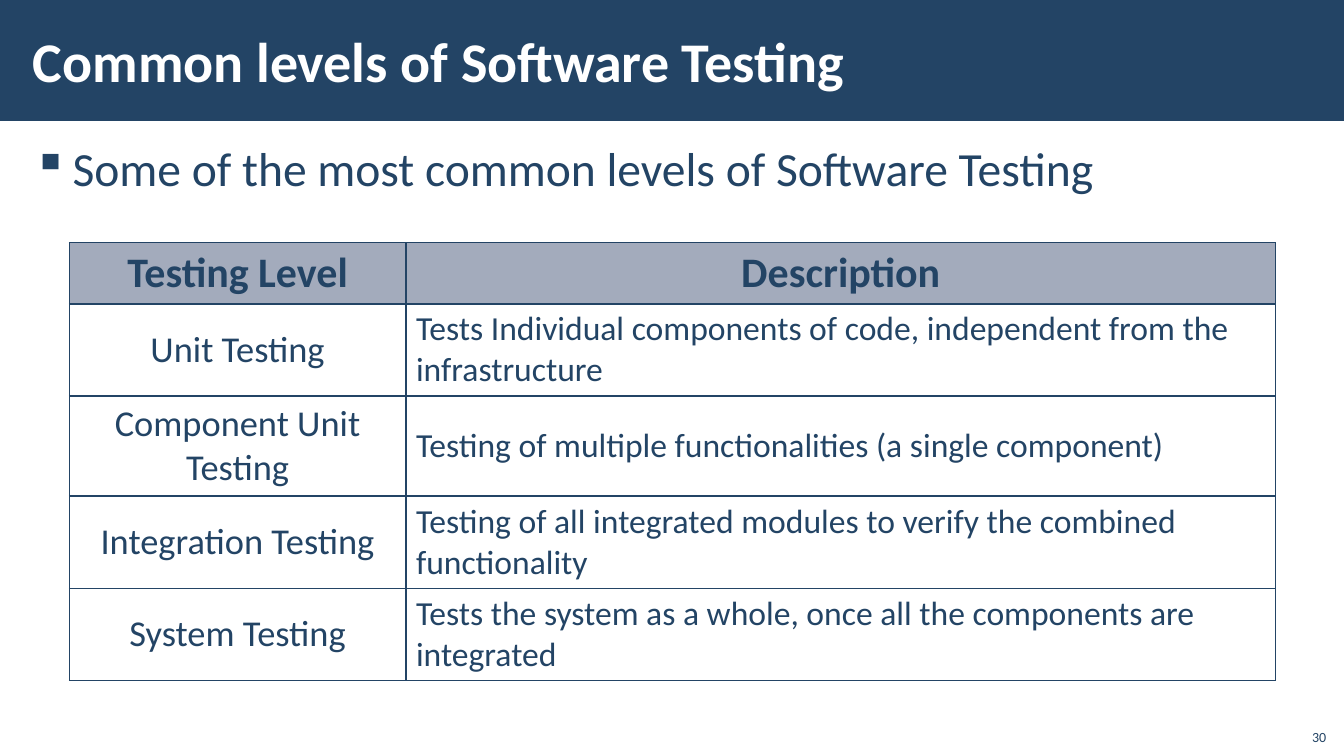
import dataclasses

import lxml.etree
import pptx
import pptx.dml.color
import pptx.enum.shapes
import pptx.enum.text
import pptx.oxml.ns
import pptx.util

Cm = pptx.util.Cm
Pt = pptx.util.Pt
ALIGN = pptx.enum.text.PP_ALIGN
ANCHOR = pptx.enum.text.MSO_ANCHOR
qn = pptx.oxml.ns.qn


@dataclasses.dataclass(frozen=True)
class Theme:
    font: str = "Calibri"
    navy: str = "234465"
    header_fill: str = "A3ABBC"
    white: str = "FFFFFF"
    title_size: int = 40
    lead_size: int = 34
    header_size: int = 30
    level_size: int = 26
    description_size: int = 24
    number_size: int = 10


THEME = Theme()

LEVELS = [
    ("Unit Testing",
     "Tests Individual components of code, independent from the infrastructure"),
    ("Component Unit\nTesting",
     "Testing of multiple functionalities (a single component)"),
    ("Integration Testing",
     "Testing of all integrated modules to verify the combined functionality"),
    ("System Testing",
     "Tests the system as a whole, once all the components are integrated"),
]
COLUMN_WIDTHS = [8.48, 21.92]
ROW_HEIGHTS = [1.54, 2.32, 2.52, 2.32, 2.32]


def rgb(value):
    return pptx.dml.color.RGBColor.from_string(value)


def style(paragraph, size, color=THEME.navy, bold=False, align=ALIGN.LEFT):
    paragraph.alignment = align
    font = paragraph.font
    font.name, font.size, font.bold = THEME.font, Pt(size), bold
    font.color.rgb = rgb(color)


def add_text(slide, box, text, anchor=ANCHOR.TOP, inset=0.3):
    frame = slide.shapes.add_textbox(*map(Cm, box)).text_frame
    frame.word_wrap = True
    frame.vertical_anchor = anchor
    frame.margin_left = frame.margin_right = Cm(inset)
    frame.margin_top = frame.margin_bottom = Cm(0.1)
    frame.text = text
    return frame.paragraphs[0]


def add_title_band(slide, box, text):
    left, top, width, height = box
    band = slide.shapes.add_shape(
        pptx.enum.shapes.MSO_SHAPE.RECTANGLE, *map(Cm, box))
    band.shadow.inherit = False
    band.fill.solid()
    band.fill.fore_color.rgb = rgb(THEME.navy)
    band.line.fill.background()
    title = add_text(slide, (left + 0.53, top + 0.28, 27, height - 0.58),
                     text, ANCHOR.MIDDLE)
    style(title, THEME.title_size, THEME.white, bold=True)


def add_lead(slide, box, text):
    lead = add_text(slide, box, text)
    lead.line_spacing = 1.05
    lead.space_after = Pt(6)
    # Hanging square bullet
    properties = lead._p.get_or_add_pPr()
    properties.set("marL", str(Cm(1)))
    properties.set("indent", str(-Cm(1)))
    lxml.etree.SubElement(properties, qn("a:buChar"), char="▪")
    style(lead, THEME.lead_size)


def add_borders(cell):
    properties = cell._tc.get_or_add_tcPr()
    for position, side in enumerate(("a:lnL", "a:lnR", "a:lnT", "a:lnB")):
        line = lxml.etree.Element(qn(side), w=str(Pt(1)))
        fill = lxml.etree.SubElement(line, qn("a:solidFill"))
        lxml.etree.SubElement(fill, qn("a:srgbClr"), val=THEME.navy)
        properties.insert(position, line)


def fill_cell(cell, text, size, align, header):
    cell.text = text
    cell.vertical_anchor = ANCHOR.MIDDLE
    for paragraph in cell.text_frame.paragraphs:
        style(paragraph, size, bold=header, align=align)
    if header:
        cell.fill.solid()
        cell.fill.fore_color.rgb = rgb(THEME.header_fill)
    else:
        cell.fill.background()
    add_borders(cell)


def add_levels_table(slide, box):
    rows = [("Testing Level", "Description")] + LEVELS
    table = slide.shapes.add_table(len(rows), 2, *map(Cm, box)).table
    table.horz_banding = False
    for column, width in zip(table.columns, COLUMN_WIDTHS):
        column.width = Cm(width)
    for index, (level, description) in enumerate(rows):
        table.rows[index].height = Cm(ROW_HEIGHTS[index])
        header = index == 0
        level_size = THEME.header_size if header else THEME.level_size
        description_size = THEME.header_size if header else THEME.description_size
        description_align = ALIGN.CENTER if header else ALIGN.LEFT
        fill_cell(table.cell(index, 0), level, level_size, ALIGN.CENTER, header)
        fill_cell(table.cell(index, 1), description, description_size,
                  description_align, header)


def add_page_number(slide, box, number):
    page = add_text(slide, box, number, ANCHOR.BOTTOM, inset=0.18)
    style(page, THEME.number_size, align=ALIGN.RIGHT)


def main():
    deck = pptx.Presentation()
    deck.slide_width, deck.slide_height = Cm(33.87), Cm(19.05)
    slide = deck.slides.add_slide(deck.slide_layouts[6])
    add_title_band(slide, (0, 0, 33.87, 3.05),
                   "Common levels of Software Testing")
    add_lead(slide, (0.53, 3.33, 32.8, 2),
             "Some of the most common levels of Software Testing")
    add_levels_table(slide, (1.75, 6.12, sum(COLUMN_WIDTHS), sum(ROW_HEIGHTS)))
    add_page_number(slide, (32.6, 18.08, 1, 0.8), "30")
    deck.save("out.pptx")


if __name__ == "__main__":
    main()
